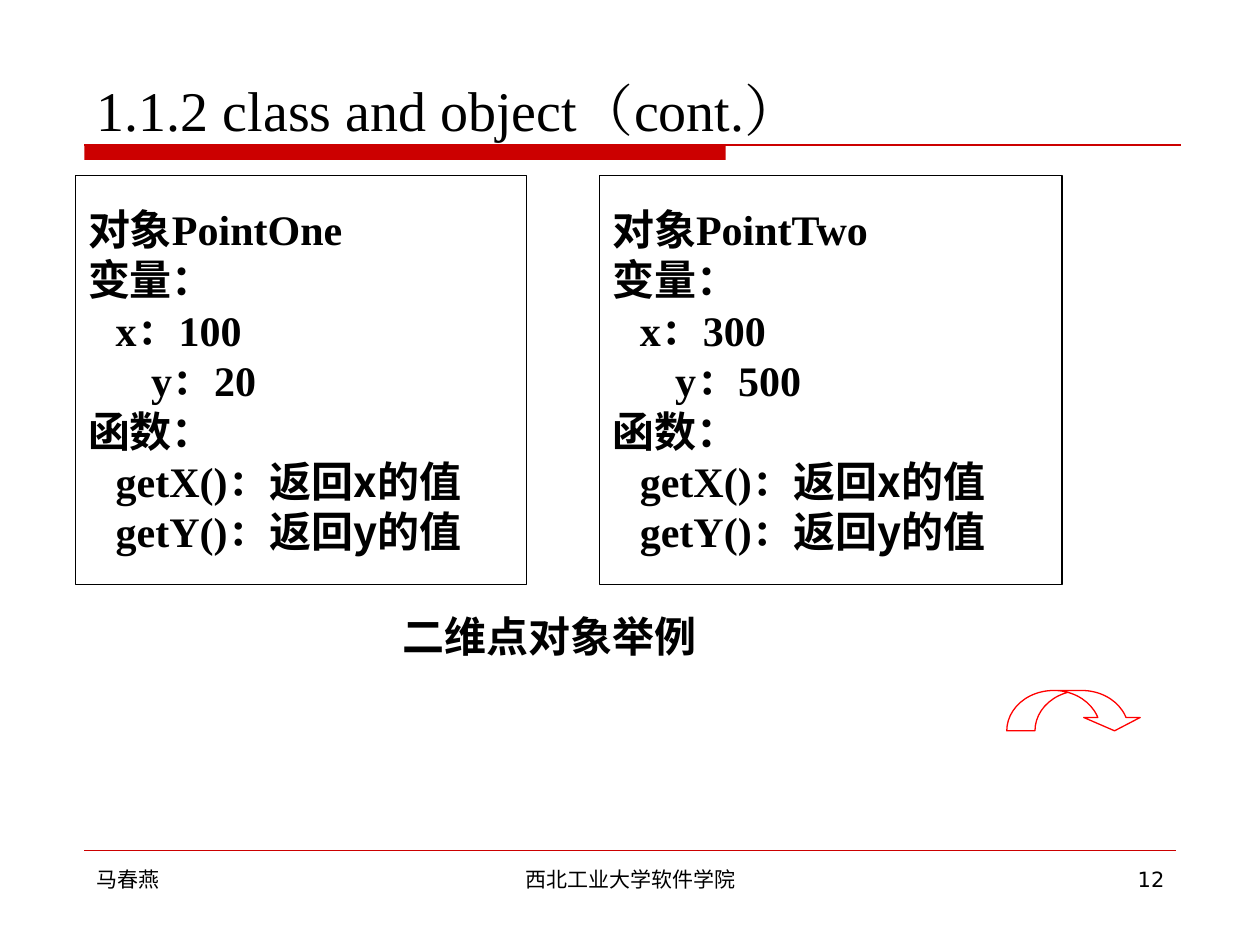
from pptx import Presentation
from pptx.dml.color import RGBColor
from pptx.enum.shapes import MSO_CONNECTOR, MSO_SHAPE
from pptx.enum.text import MSO_ANCHOR, PP_ALIGN
from pptx.oxml.ns import qn
from pptx.util import Inches, Pt
from lxml import etree

SERIF = "Times New Roman"
HAN = "Noto Sans CJK SC"
SANS = "DejaVu Sans"
RULE_RED = "CC0000"


def color(value):
    return RGBColor.from_string(value)


def add_span(paragraph, text, font, size, bold=False):
    """Append a black run that uses one font for Latin and East Asian text."""
    span = paragraph.add_run()
    span.text = text
    span.font.name = font
    span.font.size = Pt(size)
    span.font.bold = bold
    span.font.color.rgb = color("000000")
    east_asian = etree.SubElement(span.font._element, qn("a:ea"))
    east_asian.set("typeface", font)


deck = Presentation()
deck.slide_width = Inches(10)
deck.slide_height = Inches(7.5)
page = deck.slides.add_slide(deck.slide_layouts[6])

# Thick title bar
bar = page.shapes.add_shape(
    MSO_SHAPE.RECTANGLE, Inches(0.67), Inches(1.15), Inches(5.09), Inches(0.12)
)
bar.shadow.inherit = False
bar.fill.solid()
bar.fill.fore_color.rgb = color(RULE_RED)
bar.line.fill.background()

# Title and footer rules
for y, right, weight in [(1.15, 9.37, 0.75), (6.75, 9.33, 0.25)]:
    rule = page.shapes.add_connector(
        MSO_CONNECTOR.STRAIGHT, Inches(0.67), Inches(y), Inches(right), Inches(y)
    )
    rule.line.color.rgb = color(RULE_RED)
    rule.line.width = Pt(weight)
    etree.SubElement(rule._element.spPr, qn("a:effectLst"))

# Title, caption and footer texts
labels = [
    ("1.1.2 class and object（cont.）", 0.67, 0.28, 8.75, 0.9, SERIF, 32, PP_ALIGN.LEFT),
    ("二维点对象举例", 3.1, 4.8, 3, 0.5, HAN, 24, PP_ALIGN.LEFT),
    ("马春燕", 0.67, 6.83, 2.17, 0.52, SANS, 12, PP_ALIGN.LEFT),
    ("西北工业大学软件学院", 3.42, 6.83, 3.17, 0.52, SANS, 12, PP_ALIGN.CENTER),
    ("12", 7.17, 6.83, 2.17, 0.52, SANS, 12, PP_ALIGN.RIGHT),
]
for text, left, top, width, height, font, size, alignment in labels:
    box = page.shapes.add_textbox(
        Inches(left), Inches(top), Inches(width), Inches(height)
    )
    frame = box.text_frame
    frame.word_wrap = True
    frame.vertical_anchor = MSO_ANCHOR.BOTTOM if size == 32 else MSO_ANCHOR.TOP
    paragraph = frame.paragraphs[0]
    paragraph.alignment = alignment
    if font == HAN:
        paragraph.line_spacing = Pt(28.8)
    add_span(paragraph, text, font, size, bold=font == HAN)

# One card for each point object
cards = [
    ("PointOne", 100, 20, 0.6, 3.58),
    ("PointTwo", 300, 500, 4.76, 3.67),
]
for name, x_value, y_value, left, width in cards:
    card = page.shapes.add_shape(
        MSO_SHAPE.RECTANGLE, Inches(left), Inches(1.39), Inches(width), Inches(3.25)
    )
    card.shadow.inherit = False
    card.fill.background()
    card.line.color.rgb = color("000000")
    card.line.width = Pt(0.75)
    frame = card.text_frame
    frame.word_wrap = True
    frame.vertical_anchor = MSO_ANCHOR.MIDDLE
    lines = [
        (0, [("对象", HAN), (name, SERIF)]),
        (0, [("变量：", HAN)]),
        (0.22, [(f"x：{x_value}", SERIF)]),
        (0.5, [(f"y：{y_value}", SERIF)]),
        (0, [("函数：", HAN)]),
        (0.22, [("getX()：", SERIF), ("返回x的值", HAN)]),
        (0.22, [("getY()：", SERIF), ("返回y的值", HAN)]),
    ]
    for index, (indent, spans) in enumerate(lines):
        paragraph = frame.add_paragraph() if index else frame.paragraphs[0]
        paragraph.alignment = PP_ALIGN.LEFT
        paragraph.line_spacing = Pt(28.8)
        paragraph._p.get_or_add_pPr().set("marL", str(Inches(indent)))
        for text, font in spans:
            add_span(paragraph, text, font, 24, bold=True)

# Curved arrow
arrow = page.shapes.add_shape(
    MSO_SHAPE.CURVED_DOWN_ARROW, Inches(7.99), Inches(5.48), Inches(1.08), Inches(0.32)
)
arrow.shadow.inherit = False
arrow.fill.background()
arrow.line.color.rgb = color("FF0000")
arrow.line.width = Pt(0.75)
for index, value in enumerate([0.7, 1.4, 0.33]):
    arrow.adjustments[index] = value

deck.save("out.pptx")
